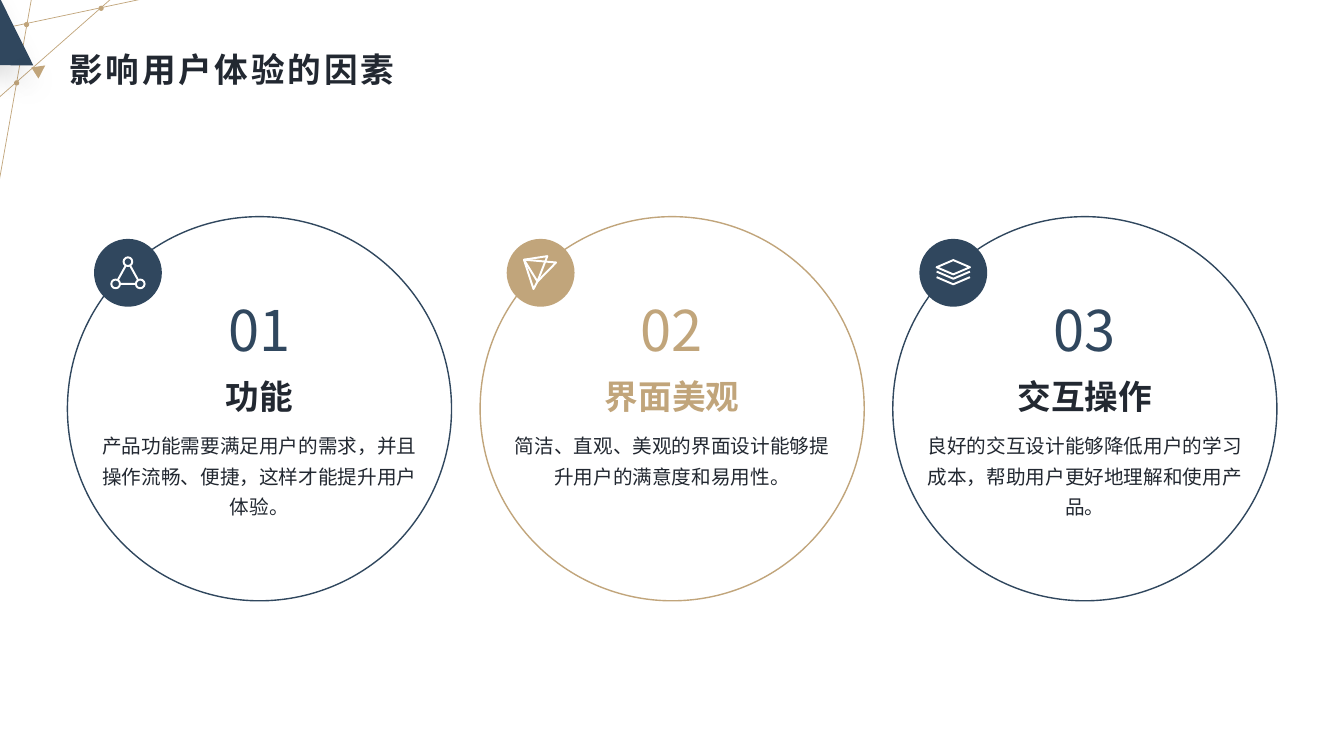
"""Build a slide with three ringed factors that shape user experience."""
from lxml.etree import SubElement
from pptx import Presentation
from pptx.dml.color import RGBColor
from pptx.enum.shapes import MSO_CONNECTOR, MSO_SHAPE
from pptx.enum.text import MSO_ANCHOR, PP_ALIGN
from pptx.oxml.ns import qn
from pptx.util import Cm, Pt

NAVY, GOLD, INK, WHITE = "30475E", "C1A57B", "222831", "FFFFFF"
FONT = "Noto Sans CJK SC"
TITLE = "影响用户体验的因素"

NETWORK = {
    "strokes": [([(0, -0.28), (-0.31, 0.28), (0.31, 0.28)], True)],
    "rings": [(0, -0.28), (-0.31, 0.28), (0.31, 0.28)],
}
PRISM = {
    "strokes": [
        ([(-0.42, -0.33), (0.17, -0.42), (-0.08, 0.22)], True),
        ([(-0.42, -0.33), (-0.18, 0.41), (-0.08, 0.22)], False),
        ([(-0.42, -0.33), (0.39, -0.26), (-0.08, 0.22)], False),
    ],
    "rings": [],
}
LAYERS = {
    "strokes": [
        ([(-0.42, -0.14), (0, -0.32), (0.42, -0.14), (0, 0.04)], True),
        ([(-0.42, -0.03), (0, 0.15), (0.42, -0.03)], False),
        ([(-0.42, 0.11), (0, 0.29), (0.42, 0.11)], False),
    ],
    "rings": [],
}
FACTORS = [
    ("01", "功能", "产品功能需要满足用户的需求，并且操作流畅、便捷，这样才能提升用户体验。",
     NAVY, INK, 2.59, NETWORK),
    ("02", "界面美观", "简洁、直观、美观的界面设计能够提升用户的满意度和易用性。",
     GOLD, GOLD, 1.8, PRISM),
    ("03", "交互操作", "良好的交互设计能够降低用户的学习成本，帮助用户更好地理解和使用产品。",
     NAVY, INK, 1.8, LAYERS),
]
CORNER_LINES = [
    ((0.89, -0.58), (-0.08, 4.9)),
    ((3.05, -0.25), (-0.61, 2.97)),
    ((3.84, -0.08), (-2.54, 1.27)),
]
CORNER_DOTS = [(0.42, 2.09), (0.67, 0.62), (2.55, 0.21)]
CORNER_TRIANGLES = [
    ([(-1.55, 1.63), (0.84, 1.65), (-0.13, -0.3)], NAVY),
    ([(1.14, 1.65), (0.97, 1.98), (0.79, 1.7)], GOLD),
]
RING_LEFT, RING_TOP, RING_SIZE, RING_PITCH = 1.7, 5.46, 9.68, 10.4
BADGE_SIZE, BADGE_DX, BADGE_DY = 1.71, 0.67, 0.56
KNOT_SIZE, ICON_WEIGHT = 0.22, 1.4


def color(value):
    return RGBColor.from_string(value)


def paint(s, fill=None, line=None, weight=1):
    s.shadow.inherit = False
    if fill:
        s.fill.solid()
        s.fill.fore_color.rgb = color(fill)
    else:
        s.fill.background()
    if line:
        s.line.color.rgb = color(line)
        s.line.width = Pt(weight)
    else:
        s.line.fill.background()
    return s


def add_circle(x, y, size, **look):
    """Add a circle centred on x, y."""
    s = shapes.add_shape(MSO_SHAPE.OVAL, Cm(x - size / 2), Cm(y - size / 2),
                         Cm(size), Cm(size))
    return paint(s, **look)


def add_outline(contours, x=0, y=0, **look):
    """Add one freeform whose contours are offset by x, y."""
    builder = None
    for points, closed in contours:
        places = [(Cm(x + px), Cm(y + py)) for px, py in points]
        if builder is None:
            builder = shapes.build_freeform(*places[0])
        else:
            builder.move_to(*places[0])
        builder.add_line_segments(places[1:], close=closed)
    return paint(builder.convert_to_shape(), **look)


def add_text(text, x, y, w, h, size, ink, bold=False, align=PP_ALIGN.CENTER,
             anchor=MSO_ANCHOR.TOP, inset=True, wrap=True, leading=None, tracking=0):
    tf = shapes.add_textbox(Cm(x), Cm(y), Cm(w), Cm(h)).text_frame
    tf.word_wrap = wrap
    tf.vertical_anchor = anchor
    if not inset:
        tf.margin_left = tf.margin_right = tf.margin_top = tf.margin_bottom = 0
    p = tf.paragraphs[0]
    p.alignment = align
    if leading:
        p.line_spacing = leading
    r = p.add_run()
    r.text = text
    r.font.name, r.font.size, r.font.bold = FONT, Pt(size), bold
    r.font.color.rgb = color(ink)
    props = r.font._element
    SubElement(props, qn("a:ea"), typeface=FONT)
    if tracking:
        props.set("spc", str(tracking * 100))


def add_soft_shadow(s):
    effects = s._element.spPr.find(qn("a:effectLst"))
    shadow = SubElement(effects, qn("a:outerShdw"), blurRad=str(Pt(20)),
                        dist=str(Pt(10)), dir=str(135 * 60000), rotWithShape="0")
    tint = SubElement(shadow, qn("a:srgbClr"), val="000000")
    SubElement(tint, qn("a:alpha"), val="15000")


def add_corner():
    for (x1, y1), (x2, y2) in CORNER_LINES:
        line = shapes.add_connector(MSO_CONNECTOR.STRAIGHT, Cm(x1), Cm(y1), Cm(x2), Cm(y2))
        line.line.color.rgb = color(GOLD)
        line.line.width = Pt(0.5)
        SubElement(line._element.spPr, qn("a:effectLst"))
    for x, y in CORNER_DOTS:
        add_circle(x, y, 0.13, fill=GOLD)
    for points, fill in CORNER_TRIANGLES:
        add_soft_shadow(add_outline([(points, True)], fill=fill))


def add_icon(icon, x, y, backing):
    s = add_outline(icon["strokes"], x, y, line=WHITE, weight=ICON_WEIGHT)
    SubElement(s.line._get_or_add_ln(), qn("a:round"))
    for dx, dy in icon["rings"]:
        add_circle(x + dx, y + dy, KNOT_SIZE, fill=backing, line=WHITE, weight=ICON_WEIGHT)


def add_factor(index, number, name, detail, accent, ink, detail_height, icon):
    left = RING_LEFT + index * RING_PITCH
    mid = left + RING_SIZE / 2
    badge_x = left + BADGE_DX + BADGE_SIZE / 2
    badge_y = RING_TOP + BADGE_DY + BADGE_SIZE / 2
    name_width = 0.84 * len(name) + 0.53
    add_circle(mid, RING_TOP + RING_SIZE / 2, RING_SIZE, fill=WHITE, line=accent)
    add_circle(badge_x, badge_y, BADGE_SIZE, fill=accent)
    add_icon(icon, badge_x, badge_y, accent)
    add_text(number, mid - 2.38, 7.44, 4.75, 1.7, 40, accent, inset=False)
    add_text(name, mid - name_width / 2, 9.35, name_width, 1.27, 24, ink,
             bold=True, wrap=False)
    add_text(detail, mid - 4.43, 10.64, 8.86, detail_height, 14, INK, leading=1.3)


prs = Presentation()
prs.slide_width, prs.slide_height = Cm(33.87), Cm(19.05)
shapes = prs.slides.add_slide(prs.slide_layouts[6]).shapes
add_corner()
add_text(TITLE, 1.75, 1.19, 15.24, 1.22, 24, INK, bold=True, align=PP_ALIGN.LEFT,
         anchor=MSO_ANCHOR.MIDDLE, inset=False, leading=0.9, tracking=2)
for index, factor in enumerate(FACTORS):
    add_factor(index, *factor)
prs.save("out.pptx")
